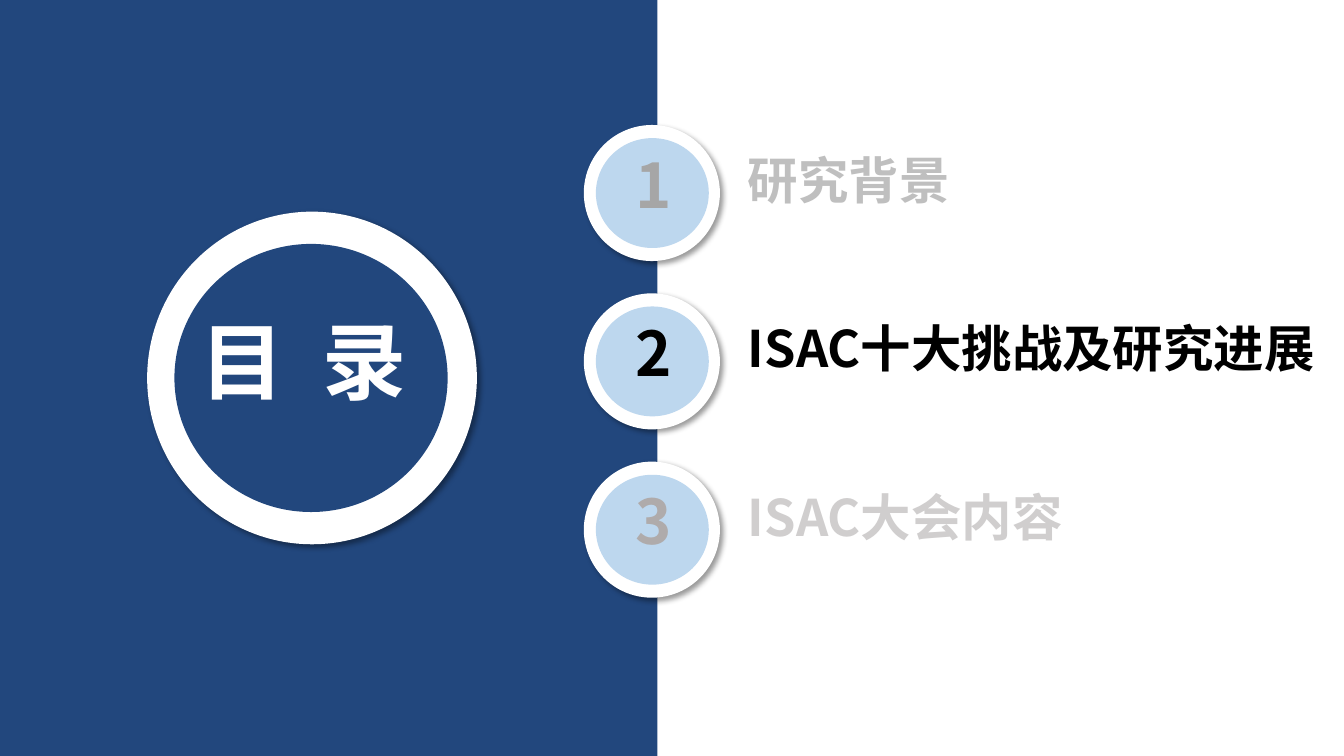
from lxml import etree
from pptx import Presentation
from pptx import util as u
from pptx.dml.color import RGBColor
from pptx.enum import shapes, text
from pptx.oxml import parse_xml
from pptx.oxml.ns import nsdecls, qn

PX = 9144  # 100 px to the inch
FONT = "Noto Sans CJK SC"
COLORS = {"navy": "22477D", "white": "FFFFFF", "sky": "BDD7EE", "black": "000000",
          "grey": "A6A6A6", "silver": "BFBFBF", "taupe": "AFABAB", "pale": "D0CECE"}
ENTRIES = [("1", "研究背景", 222, "grey", "silver"),
           ("2", "ISAC十大挑战及研究进展", 593, "black", "black"),
           ("3", "ISAC大会内容", 341, "taupe", "pale")]
ENTRY_TOP, ENTRY_PITCH = 124, 167


def px(*lengths):
    return [u.Emu(n * PX) for n in lengths]


def add_filled(s, kind, box, color):
    sp = s.shapes.add_shape(kind, *px(*box))
    sp.shadow.inherit = False
    sp.fill.solid()
    sp.fill.fore_color.rgb = RGBColor.from_string(COLORS[color])
    sp.line.fill.background()
    return sp


def add_ring(s, outer, inner, color):
    """White disc with a soft shadow, and a coloured disc on it."""
    sp = add_filled(s, shapes.MSO_SHAPE.OVAL, outer, "white")
    effects = sp._element.spPr.find(qn("a:effectLst"))
    effects.append(parse_xml(
        f'<a:outerShdw {nsdecls("a")} blurRad="50800" dist="38100" dir="2700000" '
        'algn="tl" rotWithShape="0"><a:srgbClr val="000000"><a:alpha val="40000"/>'
        '</a:srgbClr></a:outerShdw>'))
    add_filled(s, shapes.MSO_SHAPE.OVAL, inner, color)


def write(sp, words, size, color, spacing=0):
    """Fill a text shape with one bold line; spacing is in hundredths of a point."""
    tf = sp.text_frame
    tf.word_wrap = True
    tf.auto_size = text.MSO_AUTO_SIZE.NONE
    tf.vertical_anchor = text.MSO_ANCHOR.TOP
    p = tf.paragraphs[0]
    p.alignment = text.PP_ALIGN.LEFT
    p.line_spacing = 0.83
    r = p.add_run()
    r.text = words
    f = r.font
    f.name, f.size, f.bold = FONT, u.Pt(size), True
    f.color.rgb = RGBColor.from_string(COLORS[color])
    rPr = r._r.get_or_add_rPr()
    etree.SubElement(rPr, qn("a:ea")).set("typeface", FONT)
    if spacing:
        rPr.set("spc", str(spacing))


def add_heading(s, x, y):
    add_ring(s, (x, y, 327, 330), (x + 27, y + 32, 271, 266), "navy")
    title = s.shapes.title
    title.left, title.top, title.width, title.height = px(x + 43, y + 109, 239, 111)
    write(title, "目 录", 60, "white", spacing=670)
    s.shapes._spTree.append(title._element)  # bring in front of the ring


def add_entry(s, x, y, number, topic, width, number_color, topic_color):
    add_ring(s, (x, y, 135, 135), (x + 12, y + 13, 112, 109), "sky")
    write(s.shapes.add_textbox(*px(x + 41, y + 29, 58, 84)), number, 44, number_color)
    write(s.shapes.add_textbox(*px(x + 153, y + 29, width, 71)), topic, 36, topic_color)


def main():
    prs = Presentation()
    prs.slide_width, prs.slide_height = px(1333, 750)
    s = prs.slides.add_slide(prs.slide_layouts[5])
    add_filled(s, shapes.MSO_SHAPE.RECTANGLE, (0, 0, 652, 750), "navy")
    for i, entry in enumerate(ENTRIES):
        add_entry(s, 579, ENTRY_TOP + i * ENTRY_PITCH, *entry)
    add_heading(s, 146, 210)
    prs.save("out.pptx")


if __name__ == "__main__":
    main()
